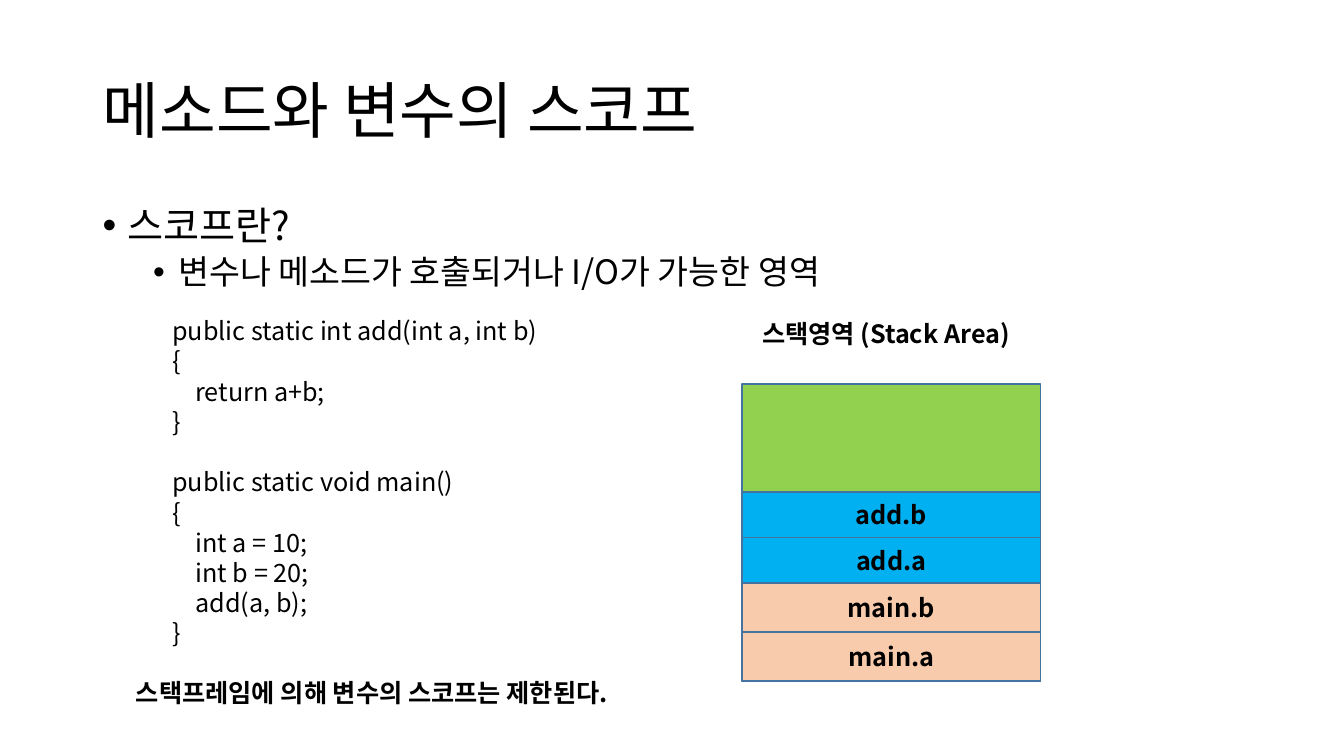
from lxml import etree
from pptx import Presentation
from pptx.dml.color import RGBColor
from pptx.enum.shapes import MSO_SHAPE
from pptx.enum.text import MSO_ANCHOR, PP_ALIGN
from pptx.oxml.ns import qn
from pptx.util import Pt

PX = 9144  # 100 px to the inch
FONT = "Noto Sans CJK KR"
RECT = MSO_SHAPE.RECTANGLE
TOP, MIDDLE = MSO_ANCHOR.TOP, MSO_ANCHOR.MIDDLE
CENTER = PP_ALIGN.CENTER

BULLETS = [  # text, size, left margin in px, space before
    ("스코프란?", 28, 25, 10),
    ("변수나 메소드가 호출되거나 I/O가 가능한 영역", 24, 75, 5),
]
METHODS = [
    ("public static int add(int a, int b)", ["return a+b;"]),
    ("public static void main()", ["int a = 10;", "int b = 20;", "add(a, b);"]),
]
FRAMES = [  # variables from the bottom up, fill, cell height, top of frame
    (["main.a", "main.b"], "F8CBAD", 48, 579),
    (["add.a", "add.b"], "00B0F0", 45, 488),
]


def px(n):
    return int(n * PX)


def rgb(code):
    return RGBColor.from_string(code)


def style(p, size, bold=False):
    for r in p.runs:
        r.font.size = Pt(size)
        r.font.bold = bold
        r.font.name = FONT
        r.font.color.rgb = rgb("000000")
        etree.SubElement(r._r.get_or_add_rPr(), qn("a:ea"), typeface=FONT)


def indent(p, left, first=0, bullet=None):
    pPr = p._p.get_or_add_pPr()
    pPr.set("marL", str(px(left)))
    pPr.set("indent", str(px(first)))
    if bullet:
        etree.SubElement(pPr, qn("a:buFont"), typeface="Arial")
        etree.SubElement(pPr, qn("a:buChar"), char=bullet)


def text_box(s, box, lines, size, bold=False, wrap=False, anchor=TOP):
    tf = s.shapes.add_textbox(*map(px, box)).text_frame
    tf.word_wrap = wrap
    tf.vertical_anchor = anchor
    tf.text = "\n".join(lines)
    for p in tf.paragraphs:
        style(p, size, bold)
    return tf


def rectangle(s, box, fill):
    sp = s.shapes.add_shape(RECT, *map(px, box))
    sp.shadow.inherit = False
    sp.fill.solid()
    sp.fill.fore_color.rgb = rgb(fill)
    sp.line.color.rgb = rgb("43739E")
    sp.line.width = Pt(1)
    return sp


def title(s, box):
    tf = text_box(s, box, ["메소드와 변수의 스코프"], 44, wrap=True, anchor=MIDDLE)
    tf.paragraphs[0].line_spacing = 0.9


def bullets(s, box):
    tf = text_box(s, box, [b[0] for b in BULLETS], 28, wrap=True)
    for level, (p, (_, size, left, before)) in enumerate(zip(tf.paragraphs, BULLETS)):
        p.level = level
        p.line_spacing = 0.9
        p.space_before = Pt(before)
        p.runs[0].font.size = Pt(size)
        indent(p, left, -25, "•")


def code(s, box):
    lines, body_rows, method_rows = [], [], []
    for signature, body in METHODS:
        method_rows.append(len(lines))
        lines += [signature, "{"]
        body_rows += range(len(lines), len(lines) + len(body))
        lines += body + ["}"]
    tf = text_box(s, box, lines, 18)
    for row in body_rows:
        indent(tf.paragraphs[row], 23)
    for row in method_rows[1:]:
        tf.paragraphs[row].space_before = Pt(21.6)


def stack(s, box):
    x, y, w, h = box
    rectangle(s, box, "92D050")
    text_box(s, (x + 10, y - 70, 275, 40), ["스택영역 (Stack Area)"], 18, bold=True)
    for names, fill, cell_h, top in FRAMES:
        for i, name in enumerate(names):
            cell_y = top + (len(names) - 1 - i) * cell_h
            tf = rectangle(s, (x, cell_y, w, cell_h), fill).text_frame
            tf.text = name
            tf.vertical_anchor = MIDDLE
            p = tf.paragraphs[0]
            p.alignment = CENTER
            style(p, 18, bold=True)


def main():
    prs = Presentation()
    prs.slide_width, prs.slide_height = px(1333), px(750)
    s = prs.slides.add_slide(prs.slide_layouts[6])
    title(s, (92, 40, 1150, 145))
    bullets(s, (92, 200, 1150, 476))
    code(s, (161, 308, 384, 343))
    stack(s, (736, 381, 296, 295))
    text_box(s, (125, 667, 541, 40),
             ["스택프레임에 의해 변수의 스코프는 제한된다."], 18, bold=True)
    prs.save("out.pptx")


if __name__ == "__main__":
    main()
